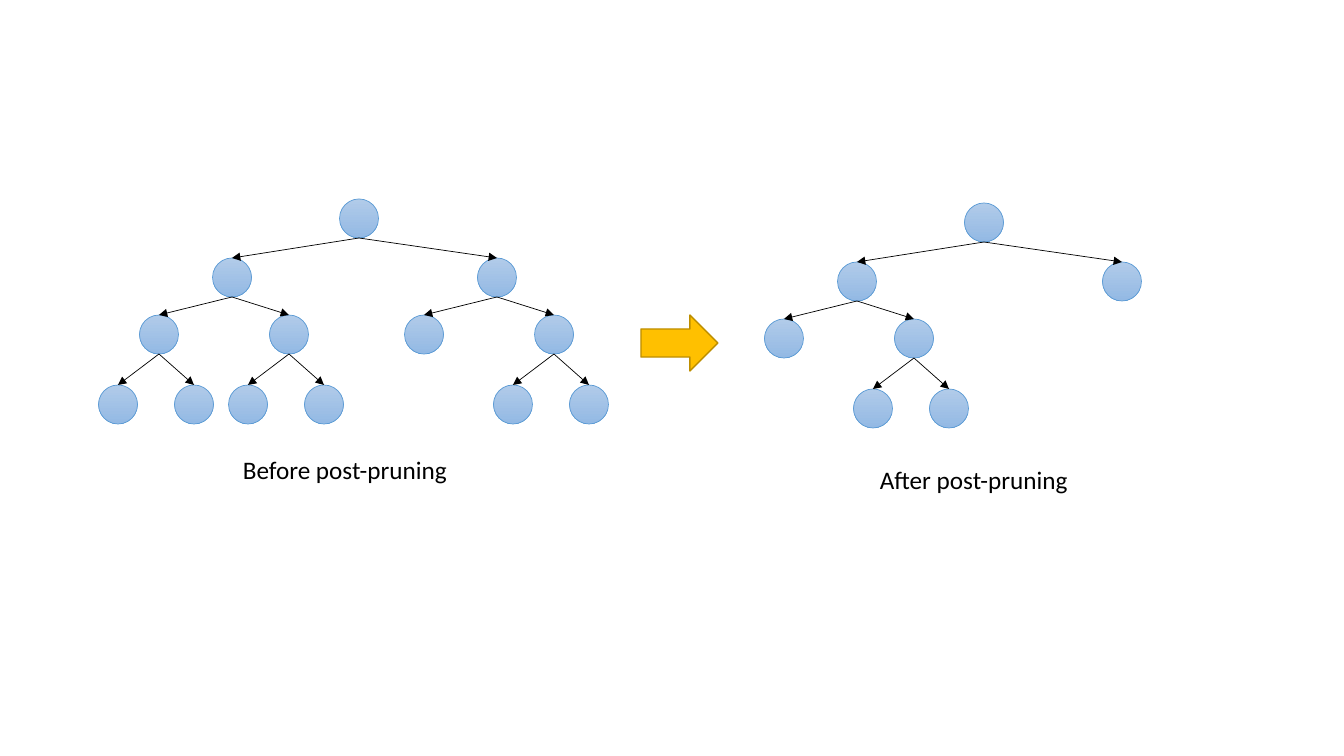
from lxml.etree import SubElement
from pptx import Presentation
from pptx.dml.color import RGBColor
from pptx.enum.shapes import MSO_CONNECTOR as Connector, MSO_SHAPE as Shape
from pptx.oxml.ns import qn
from pptx.util import Pt

PX = 914400 / 100.8
COLORS = {name: RGBColor.from_string(code) for name, code in {
    "node_top": "B1CBE9", "node_bottom": "93B9E4", "node_line": "5B9BD5",
    "black": "000000", "arrow": "FFC000", "arrow_line": "BD8E00",
}.items()}

NODE = 39
LEVEL_TOPS = [0, 59, 116, 186]
BRANCHES = [{"L": -127, "R": 138}, {"L": -73, "R": 57}, {"L": -41, "R": 35}]

# Each node is named by its path of left and right turns from the root.
TREES = [
    {"root": (359, 199), "caption": "Before post-pruning", "box": (233, 449, 228, 40),
     "nodes": ["", "L", "R", "LL", "LR", "RL", "RR",
               "LLL", "LLR", "LRL", "LRR", "RRL", "RRR"]},
    {"root": (984, 203), "caption": "After post-pruning", "box": (870, 459, 212, 40),
     "nodes": ["", "L", "R", "LL", "LR", "LRL", "LRR"]},
]


def emu(*pixels):
    """Turn pixel lengths into EMU."""
    return [round(length * PX) for length in pixels]


def node_point(root, turns):
    """Return the top centre of the node that the turns lead to."""
    shift = sum(BRANCHES[level][turn] for level, turn in enumerate(turns))
    return root[0] + shift, root[1] + LEVEL_TOPS[len(turns)]


deck = Presentation()
deck.slide_width, deck.slide_height = emu(1344, 756)
slide = deck.slides.add_slide(deck.slide_layouts[6])
shapes = slide.shapes

for tree in TREES:
    for turns in tree["nodes"]:
        x, y = node_point(tree["root"], turns)
        node = shapes.add_shape(Shape.OVAL, *emu(x - NODE / 2, y, NODE, NODE))
        node.shadow.inherit = False
        node.fill.gradient()
        node.fill.gradient_angle = 270
        for stop, shade in zip(node.fill.gradient_stops, ("node_top", "node_bottom")):
            stop.color.rgb = COLORS[shade]
        node.line.color.rgb = COLORS["node_line"]
        node.line.width = Pt(0.5)

        if turns:
            parent_x, parent_y = node_point(tree["root"], turns[:-1])
            edge = shapes.add_connector(
                Connector.STRAIGHT, *emu(parent_x, parent_y + NODE, x, y))
            edge.line.color.rgb = COLORS["black"]
            edge.line.width = Pt(0.5)
            SubElement(edge.line._get_or_add_ln(), qn("a:tailEnd"), type="triangle")
            SubElement(edge._element.spPr, qn("a:effectLst"))

    caption = shapes.add_textbox(*emu(*tree["box"])).text_frame
    caption.word_wrap = False
    caption.text = tree["caption"]
    font = caption.paragraphs[0].runs[0].font
    font.name, font.size = "Calibri", Pt(18)
    font.color.rgb = COLORS["black"]

pruning = shapes.add_shape(Shape.RIGHT_ARROW, *emu(641, 315, 77, 56))
pruning.shadow.inherit = False
pruning.fill.solid()
pruning.fill.fore_color.rgb = COLORS["arrow"]
pruning.line.color.rgb = COLORS["arrow_line"]
pruning.line.width = Pt(1)

deck.save("out.pptx")
